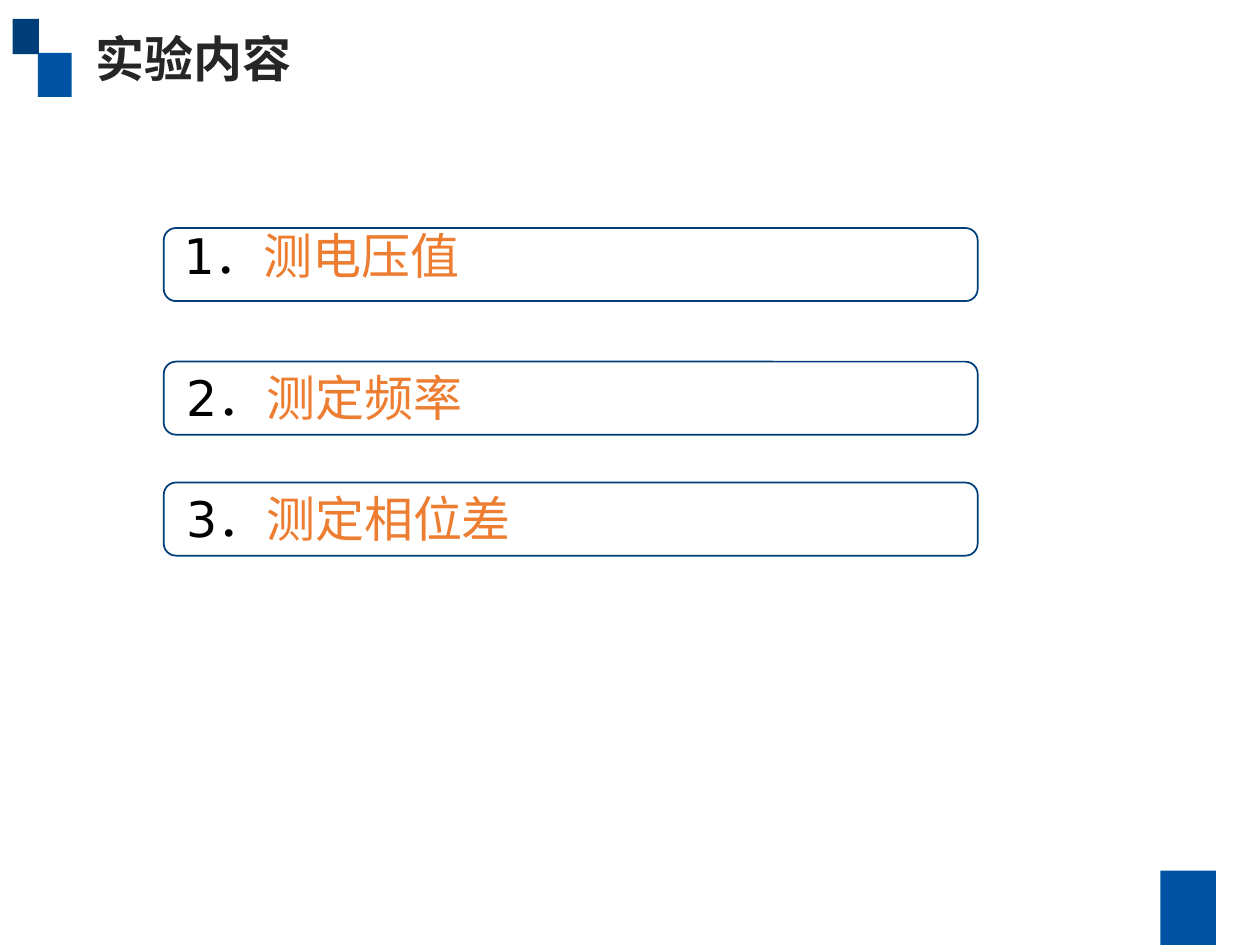
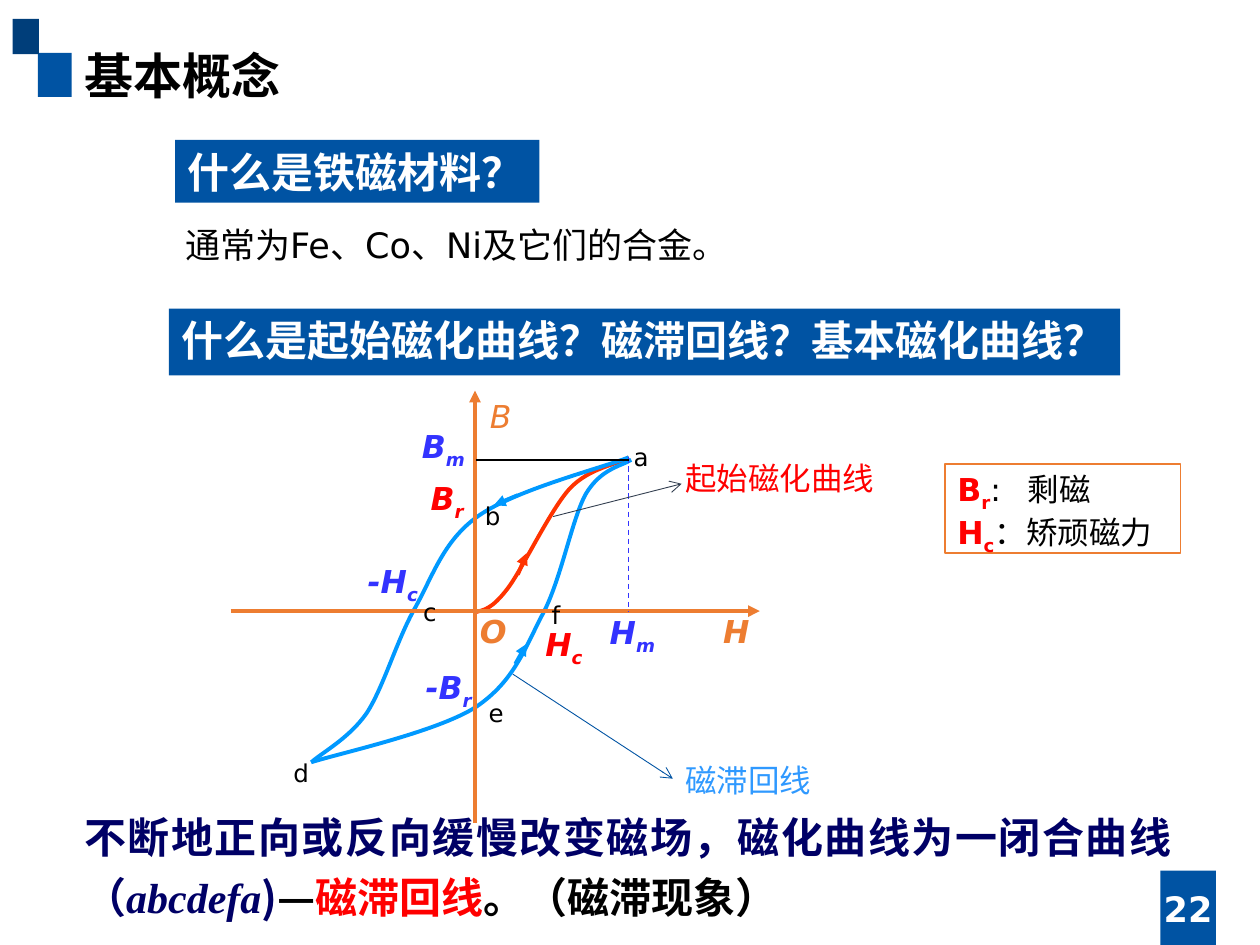
"""Builds two physics lab slides: the experiment list and the hysteresis loop."""
from dataclasses import dataclass, field
from typing import Optional

from lxml.etree import SubElement
from pptx import Presentation
from pptx.dml.color import RGBColor
from pptx.enum.dml import MSO_LINE
from pptx.enum.shapes import MSO_CONNECTOR, MSO_SHAPE
from pptx.enum.text import MSO_ANCHOR, MSO_AUTO_SIZE, PP_ALIGN
from pptx.oxml.ns import qn
from pptx.util import Inches, Pt

COLORS = {
    "blue": "0053A3", "navy": "003E7A", "outline": "003D79", "white": "FFFFFF",
    "black": "000000", "dark": "262626", "orange": "ED7D31", "red": "FF0000",
    "label": "3333FF", "sky": "2F99FF", "loop": "0099FF", "initial": "FF3300",
    "slate": "333F50", "ink": "000066",
}
SANS, CJK, SERIF = "DejaVu Sans", "Noto Sans CJK SC", "Times New Roman"
BOLD = {"bold": True}
SYMBOL = {"bold": True, "italic": True}


@dataclass
class Span:
    """A run of text with its look."""
    text: str
    color: str = "black"
    size: float = 18
    name: str = SANS
    format: dict = field(default_factory=dict)
    subscript: bool = False


@dataclass
class Box:
    """A text box or a filled shape holding paragraphs of spans."""
    left: float
    top: float
    width: float
    height: float
    paras: list = field(default_factory=list)
    fill: Optional[str] = None
    line: Optional[str] = None
    preset: MSO_SHAPE = MSO_SHAPE.RECTANGLE
    wrap: bool = True
    grow: bool = True
    para_format: dict = field(default_factory=dict)
    anchor: MSO_ANCHOR = MSO_ANCHOR.TOP
    opacity: int = 100
    tab: float = 0


@dataclass
class Stroke:
    """A straight line, with an optional arrowhead at its end."""
    start: tuple
    end: tuple
    color: str
    width: float
    arrow: Optional[str] = None
    dashed: bool = False


@dataclass
class Curve:
    """A chain of cubic Bezier segments: one start, then three points each."""
    points: list
    color: str


def rgb(name: str) -> RGBColor:
    """Look up a colour."""
    return RGBColor.from_string(COLORS[name])


def apply(target, values: dict) -> None:
    """Set attributes from a dict of format values."""
    for key, value in values.items():
        setattr(target, key, value)


def write_span(para, item: Span) -> None:
    """Add one formatted run to a paragraph."""
    span = para.add_run()
    span.text = item.text
    apply(span.font, {"size": Pt(item.size), "name": item.name, **item.format})
    span.font.color.rgb = rgb(item.color)
    properties = span._r.get_or_add_rPr()
    SubElement(properties, qn("a:ea"), typeface=CJK)
    if item.subscript:
        properties.set("baseline", "-25000")


def write_text(shape, box: Box) -> None:
    """Fill a shape's text frame."""
    frame = shape.text_frame
    apply(frame, {
        "word_wrap": box.wrap, "vertical_anchor": box.anchor,
        "auto_size": MSO_AUTO_SIZE.SHAPE_TO_FIT_TEXT if box.grow else MSO_AUTO_SIZE.NONE,
    })
    for index, spans in enumerate(box.paras):
        para = frame.add_paragraph() if index else frame.paragraphs[0]
        if box.tab:
            tabs = SubElement(para._p.get_or_add_pPr(), qn("a:tabLst"))
            SubElement(tabs, qn("a:tab"), pos=str(Inches(box.tab)), algn="l")
        apply(para, {"alignment": PP_ALIGN.LEFT, **box.para_format})
        for item in spans:
            write_span(para, item)


def draw_box(page, box: Box):
    """Draw a text box or a filled shape."""
    frame = [Inches(v) for v in (box.left, box.top, box.width, box.height)]
    if box.fill:
        shape = page.shapes.add_shape(box.preset, *frame)
        shape.shadow.inherit = False
        shape.fill.solid()
        shape.fill.fore_color.rgb = rgb(box.fill)
        if box.opacity < 100:
            color = shape._element.spPr.find(f"{qn('a:solidFill')}/{qn('a:srgbClr')}")
            SubElement(color, qn("a:alpha"), val=str(box.opacity * 1000))
        if box.line:
            shape.line.color.rgb = rgb(box.line)
            shape.line.width = Pt(1)
        else:
            shape.line.fill.background()
    else:
        shape = page.shapes.add_textbox(*frame)
    if box.paras:
        write_text(shape, box)
    return shape


def draw_stroke(page, stroke: Stroke) -> None:
    """Draw a line or an arrow."""
    ends = [Inches(v) for v in (*stroke.start, *stroke.end)]
    connector = page.shapes.add_connector(MSO_CONNECTOR.STRAIGHT, *ends)
    connector.line.color.rgb = rgb(stroke.color)
    connector.line.width = Pt(stroke.width)
    if stroke.dashed:
        connector.line.dash_style = MSO_LINE.DASH
    if stroke.arrow:
        SubElement(connector.line._get_or_add_ln(), qn("a:tailEnd"), type=stroke.arrow)
    SubElement(connector._element.spPr, qn("a:effectLst"))


def draw_curve(page, curve: Curve) -> None:
    """Draw an open outline, joining each three points into a Bezier segment."""
    start, *rest = [(Inches(x), Inches(y)) for x, y in curve.points]
    builder = page.shapes.build_freeform(*start)
    builder.add_line_segments(rest, close=False)
    shape = builder.convert_to_shape()
    outline = next(shape._element.iter(qn("a:path")))
    corners = outline.findall(qn("a:lnTo"))
    for first in range(0, len(corners), 3):
        bezier = SubElement(outline, qn("a:cubicBezTo"))
        for corner in corners[first:first + 3]:
            bezier.append(corner[0])
            outline.remove(corner)
    shape.shadow.inherit = False
    shape.fill.background()
    shape.line.color.rgb = rgb(curve.color)
    shape.line.width = Pt(2.25)


def add_page(deck, title: Box):
    """Add a title-only slide with a formatted title."""
    page = deck.slides.add_slide(deck.slide_layouts[5])
    holder = page.shapes.title
    apply(holder, {key: Inches(getattr(title, key))
                   for key in ("left", "top", "width", "height")})
    write_text(holder, title)
    return page


def decorate_layout(page) -> None:
    """Put the shared squares on the layout of a page."""
    squares = (Box(0.3, 0.42, 0.27, 0.35, fill="blue"),
               Box(0.1, 0.15, 0.21, 0.28, fill="navy"),
               Box(9.21, 6.91, 0.44, 0.59, fill="blue"))
    for number, square in enumerate(squares, 101):
        element = draw_box(page, square)._element
        element.nvSpPr.cNvPr.set("id", str(number))
        page.slide_layout.shapes._spTree.append(element)


def title_span(text: str, color: str) -> list:
    """Style a title."""
    return [[Span(text, color, 28, CJK, BOLD)]]


def symbol(left: float, top: float, width: float, height: float,
           text: str, index: str, color: str) -> Box:
    """Make an axis label with an optional subscript."""
    spans = [Span(text, color, format=SYMBOL)]
    if index:
        spans.append(Span(index, color, format=SYMBOL, subscript=True))
    return Box(left, top, width, height, [spans], wrap=False)


def build_contents(deck) -> None:
    """Build the list of experiments."""
    page = add_page(deck, Box(0.66, 0.18, 1.77, 0.57, title_span("实验内容", "dark"), wrap=False))
    decorate_layout(page)
    rows = ((1.81, 1.36, 1.74, 3.58, "测电压值"),
            (2.87, 1.38, 2.87, 3.23, "测定频率"),
            (3.83, 1.38, 3.83, 4.8, "测定相位差"))
    for number, (top, left, text_top, width, topic) in enumerate(rows, 1):
        draw_box(page, Box(1.3, top, 6.46, 0.58, fill="white", line="outline",
                           preset=MSO_SHAPE.ROUNDED_RECTANGLE))
        draw_box(page, Box(left, text_top, width, 0.57,
                           [[Span(f"{number}．", size=28), Span(topic, "orange", 28)]]))


def draw_loop(page) -> None:
    """Draw the magnetisation curves, axes and labels."""
    curves = (
        Curve([(3.77, 4.86), (3.84, 4.84), (3.9, 4.84), (4.03, 4.67), (4.15, 4.51),
               (4.36, 4.06), (4.52, 3.88), (4.68, 3.71), (4.9, 3.69), (4.99, 3.63)], "initial"),
        Curve([(4.99, 3.63), (4.79, 3.71), (4.08, 3.89), (3.79, 4.1), (3.51, 4.3),
               (3.43, 4.59), (3.28, 4.85), (3.14, 5.11), (3.04, 5.46), (2.91, 5.66),
               (2.77, 5.86), (2.56, 5.97), (2.47, 6.05)], "loop"),
        Curve([(2.47, 6.05), (2.69, 5.98), (3.47, 5.81), (3.78, 5.61), (4.09, 5.4),
               (4.17, 5.13), (4.32, 4.85), (4.46, 4.57), (4.54, 4.12), (4.65, 3.92),
               (4.77, 3.72), (4.93, 3.7), (5.01, 3.65)], "loop"),
    )
    strokes = (
        Stroke((4.11, 4.56), (4.18, 4.39), "initial", 2.25, "triangle"),
        Stroke((4.11, 3.93), (3.92, 4.01), "loop", 2.25, "triangle"),
        Stroke((4.09, 5.27), (4.18, 5.11), "loop", 2.25, "triangle"),
        Stroke((1.83, 4.85), (6.03, 4.85), "orange", 2.25, "triangle"),
        Stroke((3.77, 6.53), (3.77, 3.1), "orange", 2.25, "triangle"),
        Stroke((4.99, 3.63), (4.99, 4.86), "label", 0.75, dashed=True),
        Stroke((4.99, 3.65), (3.78, 3.65), "black", 0.75),
        Stroke((4.39, 4.1), (5.41, 3.84), "slate", 0.5, "arrow"),
        Stroke((4.07, 5.35), (5.34, 6.18), "blue", 0.5, "arrow"),
    )
    symbols = (
        (5.64, 4.81, 0.41, 0.45, "H", "", "orange"),
        (3.71, 4.81, 0.4, 0.45, "O", "", "orange"),
        (4.74, 4.82, 0.58, 0.4, "H", "m", "label"),
        (3.32, 3.75, 0.46, 0.45, "B", "r", "red"),
        (2.82, 4.41, 0.63, 0.4, "-H", "c", "label"),
        (3.25, 3.34, 0.55, 0.45, "B", "m", "label"),
        (4.23, 4.91, 0.51, 0.4, "H", "c", "red"),
        (3.28, 5.25, 0.6, 0.4, "-B", "r", "label"),
    )
    letters = {"a": (4.93, 3.46), "b": (3.75, 3.93), "c": (3.26, 4.69),
               "d": (2.23, 5.97), "e": (3.78, 5.49), "f": (4.28, 4.71)}
    for curve in curves:
        draw_curve(page, curve)
    for stroke in strokes:
        draw_stroke(page, stroke)
    for values in symbols:
        draw_box(page, symbol(*values))
    draw_box(page, Box(3.79, 3.1, 0.36, 0.45,
                       [[Span("B", "orange", format={"italic": True})]], wrap=False))
    for letter, (left, top) in letters.items():
        draw_box(page, Box(left, top, 0.24, 0.34, [[Span(letter, size=14)]]))


def build_concepts(deck) -> None:
    """Build the page on ferromagnetic materials and hysteresis."""
    page = add_page(deck, Box(0.57, 0.31, 4.43, 0.57, title_span("基本概念", "black")))
    for left, top, width, height, question in (
            (1.39, 1.11, 2.89, 0.5, "什么是铁磁材料？"),
            (1.34, 2.45, 7.55, 0.53, "什么是起始磁化曲线？磁滞回线？基本磁化曲线？")):
        draw_box(page, Box(left, top, width, height,
                           [[Span(question, "white", 24, format=BOLD)]], fill="blue", wrap=False))
    draw_loop(page)
    conclusion = [
        Span("不断地正向或反向缓慢改变磁场，磁化曲线为一闭合曲线（", "ink", 24, CJK, BOLD),
        Span("abcdefa", "ink", 24, SERIF, SYMBOL),
        *(Span(text, color, 24, CJK, BOLD) for text, color in (
            (")", "ink"), ("—", "black"), ("磁滞回线", "red"), ("。（磁滞现象）", "black"))),
    ]
    legend = [[Span(letter, "red", format=BOLD), Span(index, "red", format=BOLD, subscript=True),
               Span(meaning)]
              for letter, index, meaning in (("B", "r", ":\t剩磁"), ("H", "c", "：矫顽磁力"))]
    for box in (
            Box(8.86, 7.01, 1.14, 0.4, [[Span("22", "white", 20, format=BOLD)]], grow=False,
                anchor=MSO_ANCHOR.MIDDLE, para_format={"alignment": PP_ALIGN.CENTER}),
            Box(1.37, 1.64, 7.72, 0.52, [[Span("通常为Fe、Co、Ni及它们的合金。", size=20)]],
                para_format={"line_spacing": 1.25}),
            Box(5.34, 3.59, 1.96, 0.42, [[Span("起始磁化曲线", "red")]]),
            Box(5.34, 5.99, 1.38, 0.4, [[Span("磁滞回线", "sky")]]),
            Box(0.57, 6.31, 8.83, 1.07, [conclusion],
                para_format={"alignment": PP_ALIGN.JUSTIFY, "line_spacing": 1.2}),
            Box(7.5, 3.68, 1.87, 0.71, legend, fill="white", line="orange", opacity=14, tab=0.56)):
        draw_box(page, box)


def main() -> None:
    """Build and save the deck."""
    deck = Presentation()
    deck.slide_width, deck.slide_height = Inches(10), Inches(7.5)
    build_contents(deck)
    build_concepts(deck)
    deck.save("out.pptx")


if __name__ == "__main__":
    main()
